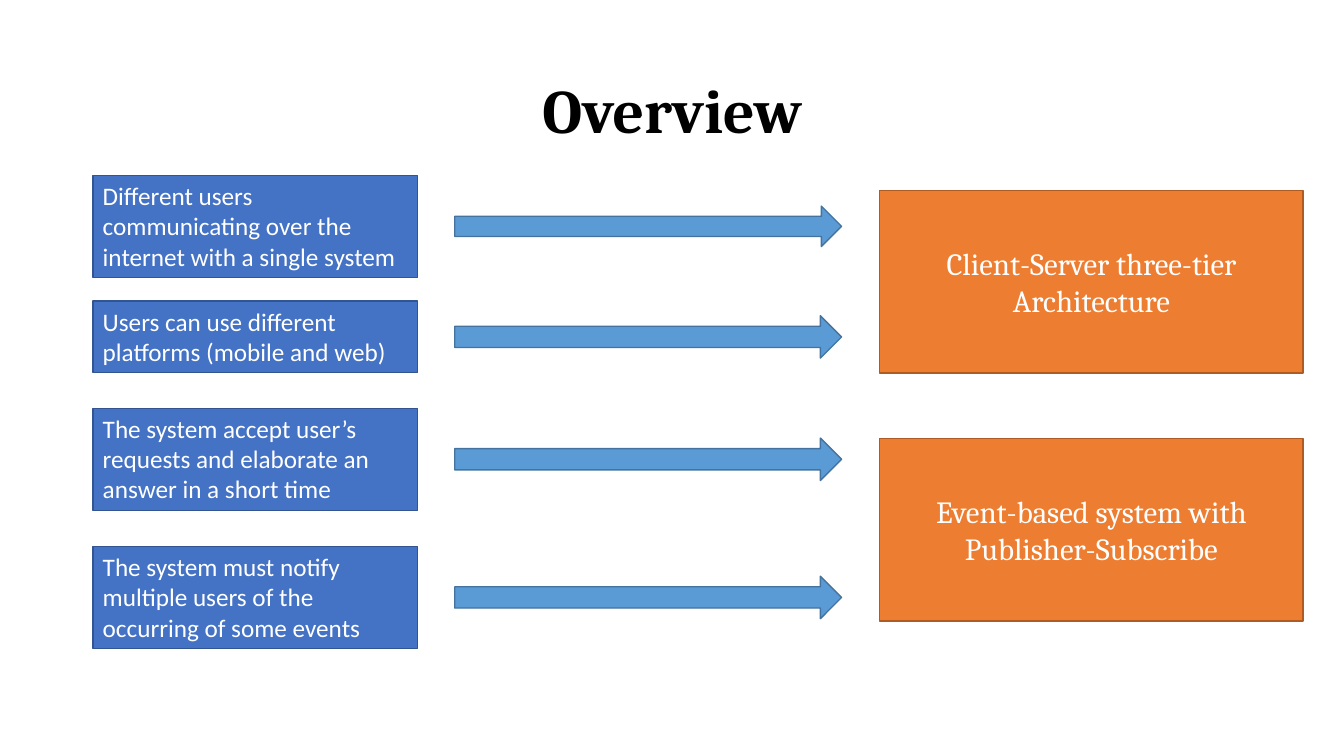
from pptx import Presentation, util as u
from pptx.dml.color import RGBColor
from pptx.enum import shapes, text

RECT = shapes.MSO_SHAPE.RECTANGLE
ARROW = shapes.MSO_SHAPE.RIGHT_ARROW
LEFT, MID = text.PP_ALIGN.LEFT, text.PP_ALIGN.CENTER


def color(code):
    return RGBColor.from_string(code)


class Deck:
    blue = ("4472C4", "325491")
    sky = ("5B9BD5", "43739E")
    orange = ("ED7D31", "AF5C24")
    body, head = "Calibri", "Cambria"

    def __init__(self, slide):
        self.slide = slide

    def label(self, shape, words, font, size, ink, align, anchor):
        frame = shape.text_frame
        frame.word_wrap = True
        frame.vertical_anchor = anchor
        frame.text = words
        para = frame.paragraphs[0]
        para.alignment = align
        style = para.runs[0].font
        style.name, style.size = font, u.Pt(size)
        style.color.rgb = color(ink)
        return para

    def title(self, words, *area):
        box = self.slide.shapes.add_textbox(*map(u.Cm, area))
        para = self.label(box, words, self.head, 44, "000000", MID,
                          text.MSO_ANCHOR.MIDDLE)
        para.line_spacing = 0.9
        para.runs[0].font.bold = True

    def block(self, kind, paint, *area):
        shape = self.slide.shapes.add_shape(kind, *map(u.Cm, area))
        shape.shadow.inherit = False
        fill, edge = paint
        shape.fill.solid()
        shape.fill.fore_color.rgb = color(fill)
        shape.line.color.rgb = color(edge)
        shape.line.width = u.Pt(1)
        return shape

    def need(self, words, *area):
        box = self.block(RECT, self.blue, *area)
        self.label(box, words, self.body, 18, "FFFFFF", LEFT,
                   text.MSO_ANCHOR.TOP)
        box.text_frame.auto_size = text.MSO_AUTO_SIZE.SHAPE_TO_FIT_TEXT

    def arrow(self, *area):
        self.block(ARROW, self.sky, *area)

    def answer(self, words, *area):
        box = self.block(RECT, self.orange, *area)
        self.label(box, words, self.head, 22, "FFFFFF", MID,
                   text.MSO_ANCHOR.MIDDLE)


def main():
    prs = Presentation()
    prs.slide_width, prs.slide_height = u.Cm(33.87), u.Cm(19.05)
    deck = Deck(prs.slides.add_slide(prs.slide_layouts[6]))

    deck.title("Overview", 2.34, 1.02, 29.21, 3.68)

    # Needs, each with an arrow centred on its box: top, height, arrow height
    needs = [
        (4.42, 2.57, 1.02, "Different users communicating over the "
                           "internet with a single system"),
        (7.59, 1.8, 1.07, "Users can use different platforms "
                          "(mobile and web)"),
        (10.29, 2.57, 1.07, "The system accept user’s requests and "
                            "elaborate an answer in a short time"),
        (13.77, 2.57, 1.07, "The system must notify multiple users of "
                            "the occurring of some events"),
    ]
    for top, high, thick, words in needs:
        deck.need(words, 2.34, top, 8.18, high)
        deck.arrow(11.46, top + (high - thick) / 2, 9.75, thick)

    # Chosen architectures
    answers = [(4.8, "Client-Server three-tier Architecture"),
               (11.05, "Event-based system with Publisher-Subscribe")]
    for top, words in answers:
        deck.answer(words, 22.17, top, 10.67, 4.6)

    prs.save("out.pptx")


if __name__ == "__main__":
    main()
